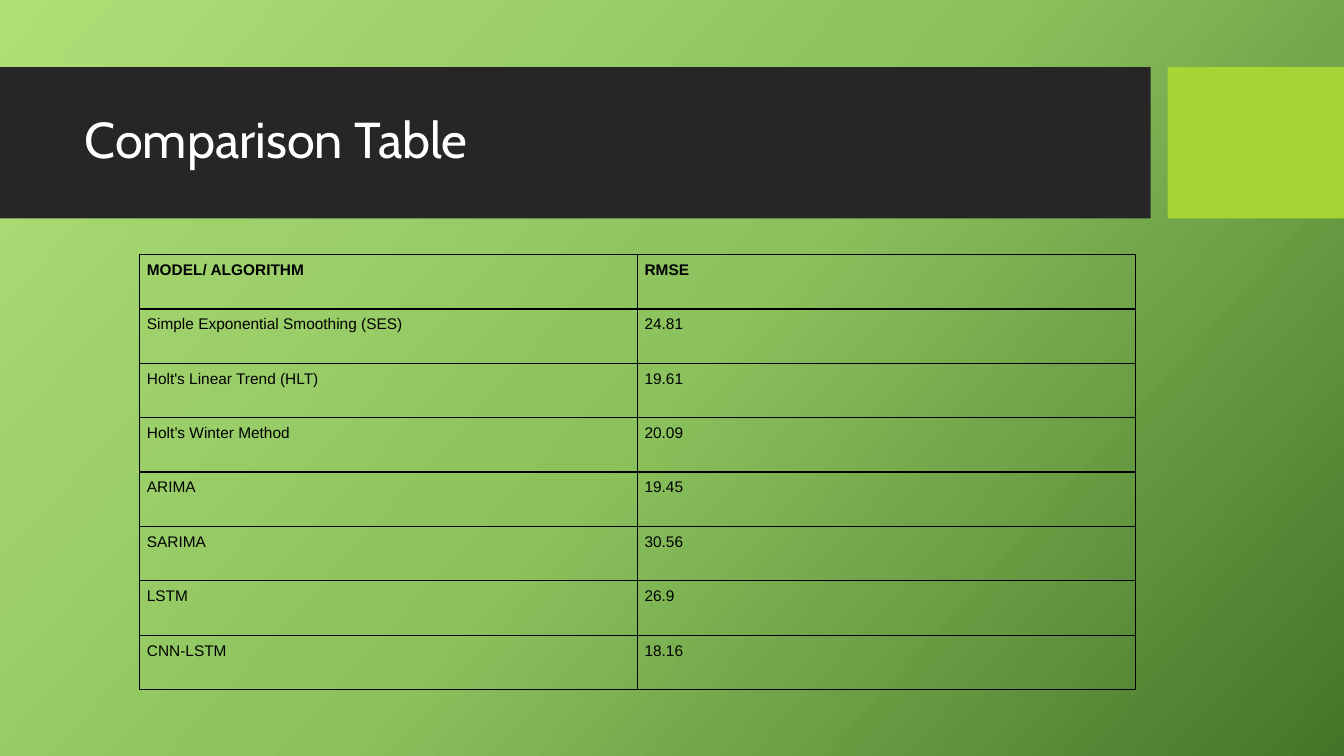
from copy import deepcopy

from pptx import Presentation
from pptx.dml.color import RGBColor
from pptx.enum.shapes import MSO_SHAPE as Preset
from pptx.enum.text import MSO_ANCHOR as Anchor, PP_ALIGN as Align
from pptx.oxml import parse_xml
from pptx.oxml.ns import nsdecls
from pptx.util import Inches, Pt

BLACK = RGBColor(0x00, 0x00, 0x00)
WHITE = RGBColor(0xFF, 0xFF, 0xFF)
CHARCOAL = RGBColor(0x26, 0x26, 0x26)
LIME = RGBColor(0xA7, 0xD5, 0x35)
PALE_GREEN = RGBColor(0xAF, 0xDE, 0x77)
MID_GREEN = RGBColor(0x8B, 0xC2, 0x5D)
DEEP_GREEN = RGBColor(0x43, 0x75, 0x28)

SCORES = [
    ("MODEL/ ALGORITHM", "RMSE"),
    ("Simple Exponential Smoothing (SES)", "24.81"),
    ("Holt's Linear Trend (HLT)", "19.61"),
    ("Holt’s Winter Method", "20.09"),
    ("ARIMA", "19.45"),
    ("SARIMA", "30.56"),
    ("LSTM", "26.9"),
    ("CNN-LSTM", "18.16"),
]


def apply(target, values):
    for name, value in values.items():
        setattr(target, name, value)


class Deck:
    COLUMNS, ROWS = 160, 90
    TITLE_FONT = {"name": "Cabin", "size": Pt(36), "bold": False}
    CELL_FONT = {"name": "Arial", "size": Pt(11)}
    CELL_FORMAT = {
        f"margin_{side}": Inches(0.07) for side in ("left", "right", "top", "bottom")
    } | {"vertical_anchor": Anchor.TOP}

    def __init__(self):
        self.show = Presentation()
        apply(self.show, {"slide_width": Inches(13.333), "slide_height": Inches(7.5)})
        self.slide = self.show.slides.add_slide(self.show.slide_layouts[5])

    def box(self, column, row, columns, rows):
        across = self.show.slide_width / self.COLUMNS
        down = self.show.slide_height / self.ROWS
        return [round(v) for v in (column * across, row * down, columns * across, rows * down)]

    def backdrop(self, angle, colours):
        fill = self.slide.background.fill
        fill.gradient()
        fill.gradient_angle = 360 - angle
        first = self.slide.element.xpath(".//p:bg//a:gs")[0]
        for _ in colours[2:]:
            first.addnext(deepcopy(first))
        for i, (stop, colour) in enumerate(zip(fill.gradient_stops, colours)):
            stop.position = i / (len(colours) - 1)
            stop.color.rgb = colour

    def band(self, place, colour):
        band = self.slide.shapes.add_shape(Preset.RECTANGLE, *self.box(*place))
        band.shadow.inherit = False
        band.fill.solid()
        band.fill.fore_color.rgb = colour
        band.line.fill.background()

    def title(self, place, words):
        heading = self.slide.shapes.title
        apply(heading, dict(zip(("left", "top", "width", "height"), self.box(*place))))
        apply(heading.text_frame, {"text": words, "vertical_anchor": Anchor.MIDDLE, "word_wrap": True})
        line = heading.text_frame.paragraphs[0]
        apply(line, {"alignment": Align.LEFT, "line_spacing": 0.9})
        apply(line.runs[0].font, self.TITLE_FONT)
        line.runs[0].font.color.rgb = WHITE
        self.slide.shapes.element.append(heading.element)

    def table(self, place, records):
        frame = self.slide.shapes.add_table(len(records), len(records[0]), *self.box(*place))
        grid = frame.table
        apply(grid, {"first_row": False, "horz_banding": False})
        for r, record in enumerate(records):
            for c, words in enumerate(record):
                self.cell(grid.cell(r, c), words, bold=r == 0)

    def cell(self, cell, words, bold):
        cell.text = words
        apply(cell, self.CELL_FORMAT)
        font = cell.text_frame.paragraphs[0].runs[0].font
        apply(font, self.CELL_FONT | {"bold": bold})
        font.color.rgb = BLACK
        properties = cell._tc.get_or_add_tcPr()
        for side in ("lnL", "lnR", "lnT", "lnB"):
            properties.append(parse_xml(
                f'<a:{side} {nsdecls("a")} w="{Pt(1)}"><a:solidFill>'
                f'<a:srgbClr val="{BLACK}"/></a:solidFill></a:{side}>'
            ))
        cell.fill.background()


deck = Deck()
deck.backdrop(42, [PALE_GREEN, MID_GREEN, DEEP_GREEN])
deck.band((0, 8, 137, 18), CHARCOAL)
deck.band((139, 8, 21, 18), LIME)
deck.title((8.9, 9.8, 126.1, 14.2), "Comparison Table")
deck.table((16.65, 30.3, 118.5, 51.8), SCORES)
deck.show.save("out.pptx")
